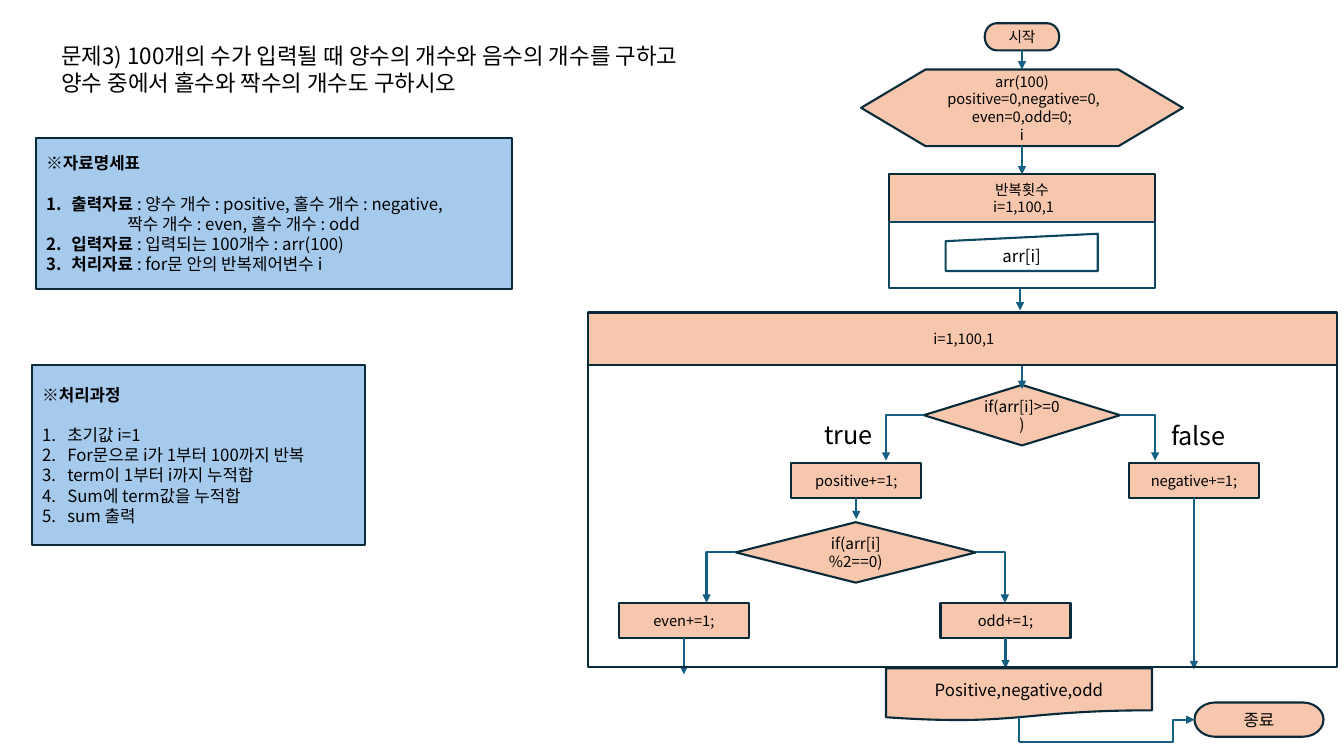
import pptx
import pptx.util
import pptx.dml.color
import pptx.enum.shapes
import pptx.enum.text
import pptx.oxml
import pptx.oxml.ns
from lxml import etree

Pt = pptx.util.Pt
RGBColor = pptx.dml.color.RGBColor
SHAPE = pptx.enum.shapes.MSO_SHAPE
CONNECTOR = pptx.enum.shapes.MSO_CONNECTOR
ALIGN = pptx.enum.text.PP_ALIGN
ANCHOR = pptx.enum.text.MSO_ANCHOR
qn = pptx.oxml.ns.qn

BLUE = RGBColor(0xA6, 0xCA, 0xEC)
PEACH = RGBColor(0xF6, 0xC6, 0xAD)
OUTLINE = RGBColor(0x09, 0x2A, 0x39)
ARROW = RGBColor(0x15, 0x60, 0x82)
LOOP = RGBColor(0x10, 0x47, 0x60)
BLACK = RGBColor(0, 0, 0)


class Flowchart:
    font = "Noto Sans CJK KR"
    line_width = Pt(1.5)

    def __init__(self, slide):
        self.slide = slide

    def add_run(self, paragraph, text, size, bold=None):
        run = paragraph.add_run()
        run.text = text
        run.font.size = Pt(size)
        run.font.bold = bold
        run.font.color.rgb = BLACK
        run.font.name = self.font
        east_asian = etree.SubElement(run.font._element, qn("a:ea"))
        east_asian.set("typeface", self.font)

    def add_lines(self, shape, lines, size, align, anchor):
        frame = shape.text_frame
        frame.word_wrap = True
        frame.vertical_anchor = anchor
        for index, line in enumerate(lines):
            paragraph = frame.paragraphs[0] if index == 0 else frame.add_paragraph()
            paragraph.alignment = align
            self.add_run(paragraph, line, size)

    def title(self, box, lines, size):
        title = self.slide.shapes.title
        title.left, title.top, title.width, title.height = map(Pt, box)
        self.add_lines(title, lines, size, ALIGN.LEFT, ANCHOR.TOP)

    def label(self, box, text, size):
        shape = self.slide.shapes.add_textbox(*map(Pt, box))
        self.add_lines(shape, [text], size, ALIGN.LEFT, ANCHOR.TOP)

    def block(self, kind, box, lines=(), size=10.5, fill=PEACH, outline=OUTLINE):
        shape = self.slide.shapes.add_shape(kind, *map(Pt, box))
        shape.shadow.inherit = False
        if fill is None:
            shape.fill.background()
        else:
            shape.fill.solid()
            shape.fill.fore_color.rgb = fill
        shape.line.color.rgb = outline
        shape.line.width = self.line_width
        self.add_lines(shape, lines, size, ALIGN.CENTER, ANCHOR.MIDDLE)
        return shape

    def note(self, box, heading, items, size=12, gap=14.4):
        """Each item is (number, bold text, plain text); no number means a continued line."""
        frame = self.block(SHAPE.RECTANGLE, box, fill=BLUE).text_frame
        paragraph = frame.paragraphs[0]
        paragraph.alignment = ALIGN.LEFT
        self.add_run(paragraph, heading, size, True)
        for index, (number, strong, plain) in enumerate(items):
            paragraph = frame.add_paragraph()
            paragraph.alignment = ALIGN.LEFT
            properties = paragraph._p.get_or_add_pPr()
            properties.set("marL", str(Pt(18 if number else 58)))
            if number:
                properties.set("indent", str(Pt(-18)))
                numbering = etree.SubElement(properties, qn("a:buAutoNum"))
                numbering.set("type", "arabicPeriod")
                numbering.set("startAt", str(number))
            if index == 0:
                paragraph.space_before = Pt(gap)
            if strong:
                self.add_run(paragraph, strong, size, True)
            self.add_run(paragraph, plain, size, False)

    def connector(self, start, end, kind=CONNECTOR.STRAIGHT, head=True):
        connector = self.slide.shapes.add_connector(kind, *map(Pt, start + end))
        connector.line.color.rgb = ARROW
        connector.line.width = self.line_width
        if head:
            tail = etree.SubElement(connector.line._get_or_add_ln(), qn("a:tailEnd"))
            tail.set("type", "triangle")
        etree.SubElement(connector._element.spPr, qn("a:effectLst"))
        return connector

    def down(self, source, bottom, target=None):
        x = (source.left + source.width / 2) / Pt(1)
        y = (source.top + source.height) / Pt(1)
        connector = self.connector((x, y), (x, bottom))
        connector.begin_connect(source, 2)
        if target is not None:
            connector.end_connect(target, 0)

    def branch(self, start, end):
        connector = self.connector(start, end, CONNECTOR.ELBOW)
        connector._element.spPr.find(qn("a:prstGeom")).set("prst", "bentConnector2")

    def elbow(self, start, end, bend):
        connector = self.connector(start, end, CONNECTOR.ELBOW)
        geometry = connector._element.spPr.find(qn("a:prstGeom"))
        guides = geometry.find(qn("a:avLst"))
        if guides is None:
            guides = etree.SubElement(geometry, qn("a:avLst"))
        guide = etree.SubElement(guides, qn("a:gd"))
        guide.set("name", "adj1")
        guide.set("fmla", f"val {round(bend * 100000)}")


def main():
    presentation = pptx.Presentation()
    presentation.slide_width, presentation.slide_height = Pt(960), Pt(540)
    chart = Flowchart(presentation.slides.add_slide(presentation.slide_layouts[5]))

    # Problem and notes
    chart.title((36.7, 26.6, 505.4, 46.1), [
        "문제3) 100개의 수가 입력될 때 양수의 개수와 음수의 개수를 구하고",
        "양수 중에서 홀수와 짝수의 개수도 구하시오"], 16)
    chart.note((25.9, 98.6, 339.8, 108), "※자료명세표", [
        (1, "출력자료 ", ": 양수 개수 : positive, 홀수 개수 : negative,"),
        (None, "", "짝수 개수 : even, 홀수 개수 : odd"),
        (2, "입력자료 ", ": 입력되는 100개수 : arr(100)"),
        (3, "처리자료 ", ": for문 안의 반복제어변수 i")])
    steps = ["초기값 i=1", "For문으로 i가 1부터 100까지 반복", "term이 1부터 i까지 누적합",
             "Sum에 term값을 누적합", "sum 출력"]
    chart.note((23, 260.6, 237.6, 128.9), "※처리과정",
               [(number, "", step) for number, step in enumerate(steps, 1)])

    # Start and input loop
    start = chart.block(SHAPE.FLOWCHART_TERMINATOR, (703.4, 16.6, 53.2, 19.4), ["시작"])
    setup = chart.block(SHAPE.FLOWCHART_PREPARATION, (615.1, 49.7, 229.8, 54.7),
                        ["arr(100)", " positive=0,negative=0,", "even=0,odd=0;", "i"])
    input_loop = chart.block(SHAPE.RECTANGLE, (635, 124.6, 190, 33.8),
                             ["반복횟수", " i=1,100,1"])
    chart.down(start, 49.7, setup)
    chart.down(setup, 124.6, input_loop)
    chart.connector((728.6, 205.9), (728.6, 221.8))

    # Counting loop
    output = chart.block(SHAPE.FLOWCHART_DOCUMENT, (632.9, 477.4, 190, 37.4),
                         ["Positive,negative,odd"], 12)
    chart.block(SHAPE.RECTANGLE, (419.8, 223.2, 535, 37.4), [" i=1,100,1"])
    chart.block(SHAPE.FLOWCHART_DECISION, (659.9, 275, 140.2, 43.2), ["if(arr[i]>=0)"], 11)
    chart.block(SHAPE.FLOWCHART_DECISION, (525.6, 373, 171.4, 43.2), ["if(arr[i]%2==0)"], 11)
    chart.connector((730, 260.6), (730, 277.9))
    for name, left, top, arrow_end in [
            ("positive", 565.2, 330.5, 370.8), ("negative", 806.4, 330.5, 478.1),
            ("even", 442.1, 430.6, 481.7), ("odd", 671.8, 430.6, 477.4)]:
        counter = chart.block(SHAPE.RECTANGLE, (left, top, 92.9, 25.2), [f"{name}+=1;"])
        chart.down(counter, arrow_end)
    for tip, end in [
            ((659.9, 296.6), (632.9, 329)), ((800.1, 296.6), (825.1, 329)),
            ((525.6, 394.6), (504.7, 430.6)), ((697, 394.6), (717.8, 430.6))]:
        chart.branch(tip, end)
    chart.label((581.8, 295.9, 69.8, 28.8), "true", 18)
    chart.label((829.4, 296.6, 69.8, 28.8), "false", 18)

    # End
    chart.block(SHAPE.FLOWCHART_TERMINATOR, (853.2, 501.8, 92.2, 24.5), ["종료"], 12)
    output_x = (output.left + output.width / 2) / Pt(1)
    chart.connector((output_x, 511.9), (output_x, 529.9), head=False)
    chart.elbow((output_x, 529.9), (853.2, 514.1), 0.88)

    # Loop frames
    chart.block(SHAPE.RECTANGLE, (419.8, 260.6, 535, 216), fill=None)
    chart.block(SHAPE.RECTANGLE, (635, 158.4, 190, 47.5), fill=None, outline=LOOP)
    chart.block(SHAPE.FLOWCHART_MANUAL_INPUT, (675.4, 167, 108.7, 26.6), ["arr[i]"], 12,
                fill=None, outline=LOOP)

    presentation.save("out.pptx")


if __name__ == "__main__":
    main()
